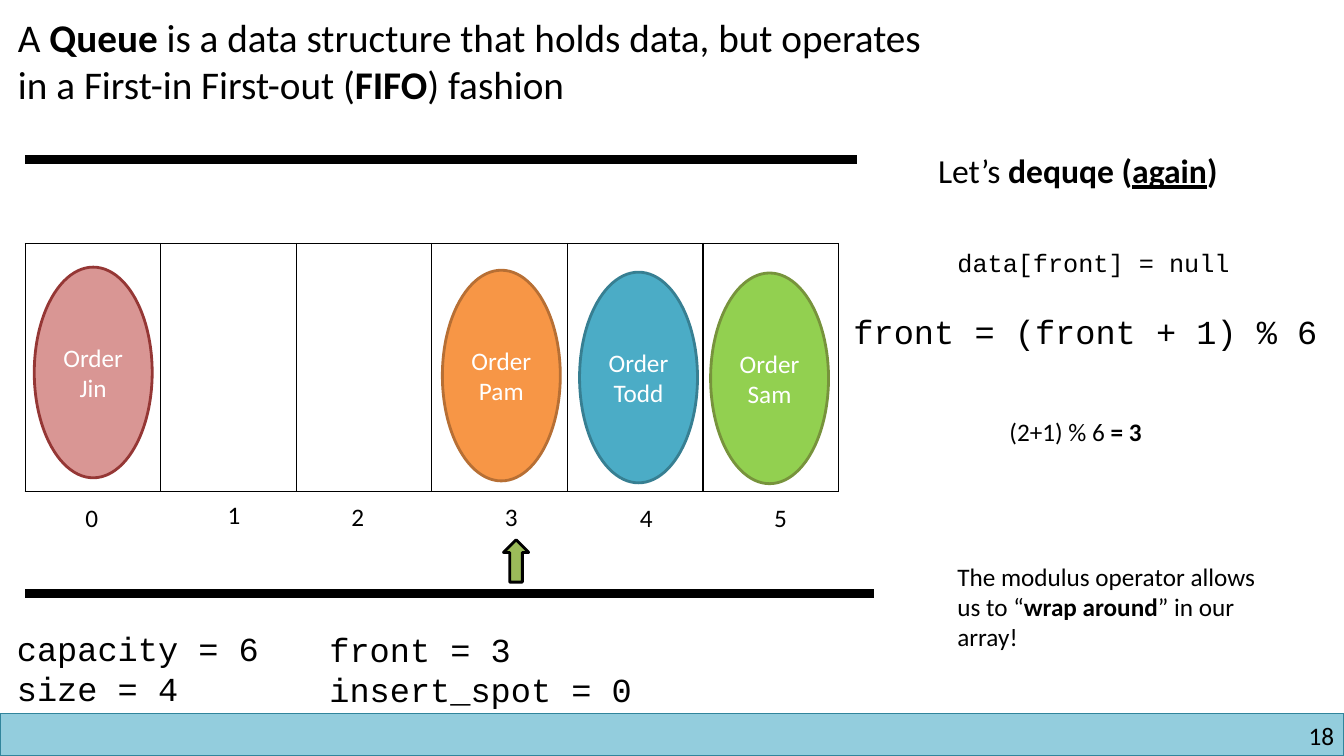
import lxml.etree
import pptx
import pptx.dml.color
import pptx.enum.shapes
import pptx.enum.text
import pptx.oxml.ns
import pptx.util

Pt = pptx.util.Pt
Shape = pptx.enum.shapes.MSO_SHAPE
Align = pptx.enum.text.PP_ALIGN
Anchor = pptx.enum.text.MSO_ANCHOR
qn = pptx.oxml.ns.qn

COLORS = {
    "black": "000000", "white": "FFFFFF",
    "footer": "93CDDD", "footer_line": "31859C", "arrow": "9BBB59",
    "jin": "D99694", "jin_line": "953735",
    "pam": "F79646", "pam_line": "B76F34",
    "todd": "4BACC6", "todd_line": "377F92",
    "sam": "92D050", "sam_line": "77933C",
}


def rgb(name):
    return pptx.dml.color.RGBColor.from_string(COLORS[name])


class QueueSlide:
    body_font = "Calibri"
    code_font = "Courier New"

    def __init__(self, presentation):
        self.slide = presentation.slides.add_slide(presentation.slide_layouts[6])
        self.shapes = self.slide.shapes

    def format_run(self, run, size, font, color="black"):
        run.font.size = Pt(size)
        run.font.name = font
        run.font.color.rgb = rgb(color)

    def text(self, box, lines, size=18, font=body_font, wrap=False,
             align=Align.LEFT, inset=True):
        text_frame = self.shapes.add_textbox(*map(Pt, box)).text_frame
        text_frame.word_wrap = wrap
        if not inset:
            text_frame.margin_left = text_frame.margin_right = 0
            text_frame.margin_top = text_frame.margin_bottom = 0
        for index, line in enumerate(lines):
            paragraph = text_frame.paragraphs[0] if index == 0 else text_frame.add_paragraph()
            paragraph.alignment = align
            for words, style in line:
                run = paragraph.add_run()
                run.text = words
                self.format_run(run, size, font)
                run.font.bold = "b" in style
                run.font.underline = "u" in style

    def code(self, box, *lines, size=24):
        self.text(box, [[(line, "")] for line in lines], size, self.code_font)

    def shape(self, kind, box, fill, line, weight):
        shape = self.shapes.add_shape(kind, *map(Pt, box))
        shape.shadow.inherit = False
        shape.fill.solid()
        shape.fill.fore_color.rgb = rgb(fill)
        shape.line.color.rgb = rgb(line)
        shape.line.width = Pt(weight)
        return shape

    def order(self, name, left, top):
        color = name.lower()
        shape = self.shape(Shape.OVAL, (left, top, 84.25, 150.5), color, color + "_line", 2)
        text_frame = shape.text_frame
        text_frame.text = f"Order\n{name}"
        text_frame.vertical_anchor = Anchor.MIDDLE
        for paragraph in text_frame.paragraphs:
            paragraph.alignment = Align.CENTER
            self.format_run(paragraph.runs[0], 18, self.body_font, "white")

    def rule(self, left, right, y):
        connector = self.shapes.add_connector(
            pptx.enum.shapes.MSO_CONNECTOR.STRAIGHT, Pt(left), Pt(y), Pt(right), Pt(y))
        connector.line.color.rgb = rgb("black")
        connector.line.width = Pt(6)
        properties = connector._element.spPr
        lxml.etree.SubElement(properties, qn("a:effectLst"))

    def array(self, box, slots):
        table = self.shapes.add_table(1, slots, *map(Pt, box)).table
        table.first_row = table.horz_banding = False
        for column in table.columns:
            column.width = Pt(box[2] / slots)
        for cell in table.iter_cells():
            properties = cell._tc.get_or_add_tcPr()
            for side in ("lnL", "lnR", "lnT", "lnB"):
                border = lxml.etree.SubElement(properties, qn(f"a:{side}"), w=str(Pt(1)))
                fill = lxml.etree.SubElement(border, qn("a:solidFill"))
                lxml.etree.SubElement(fill, qn("a:srgbClr"), val=COLORS["black"])
            cell.fill.solid()
            cell.fill.fore_color.rgb = rgb("white")


def main():
    presentation = pptx.Presentation()
    presentation.slide_width = Pt(960)
    presentation.slide_height = Pt(540)
    page = QueueSlide(presentation)

    page.shape(Shape.RECTANGLE, (0, 509.75, 960, 30.25), "footer", "footer_line", 1)
    page.text((732, 514.8, 221, 21.6), [[("18", "")]], align=Align.RIGHT, inset=False)

    page.text((5.76, 5.76, 671, 75), [[
        ("A ", ""), ("Queue", "b"),
        (" is a data structure that holds data, but operates in a First-in First-out (", ""),
        ("FIFO", "b"), (") fashion", "")]], size=28, wrap=True)
    page.rule(18, 612, 113.8)
    page.rule(18, 624, 424)

    page.array((18, 174, 581, 177), 6)
    index_positions = [(54, 355), (155.5, 352.8), (244, 354.2),
                       (353.5, 354.2), (450, 355), (545.8, 355)]
    for index, (left, top) in enumerate(index_positions):
        page.text((left, top, 24.5, 29), [[(str(index), "")]])

    page.code((5, 445, 188.6, 65.5), "capacity = 6", "size = 4")
    page.code((228.2, 445.7, 232.6, 65.5), "front = 3", "insert_spot = 0")
    front_arrow = page.shape(Shape.RIGHT_ARROW, (353.5, 391.7, 30.25, 18), "arrow", "black", 2)
    front_arrow.rotation = 270

    for name, left, top in [("Pam", 316, 193), ("Todd", 414, 194.4),
                            ("Sam", 507.6, 195), ("Jin", 24.5, 190.8)]:
        page.order(name, left, top)

    page.text((663, 103.7, 244.8, 36), [[
        ("Let’s ", ""), ("dequqe (", "b"), ("again", "bu"), (")", "b")]], size=24)
    page.text((676.8, 397.4, 241, 72.7), [[
        ("The modulus operator allows us to “", ""), ("wrap around", "b"),
        ("” in our array!", "")]], wrap=True)
    page.code((676.8, 172.8, 210, 29), "data[front] = null", size=18)
    page.code((602.6, 218.2, 348.5, 36), "front = (front + 1) % 6")
    page.text((714, 293.8, 124.6, 29), [[("(2+1) % 6 ", ""), ("= 3", "b")]])

    presentation.save("out.pptx")


if __name__ == "__main__":
    main()
